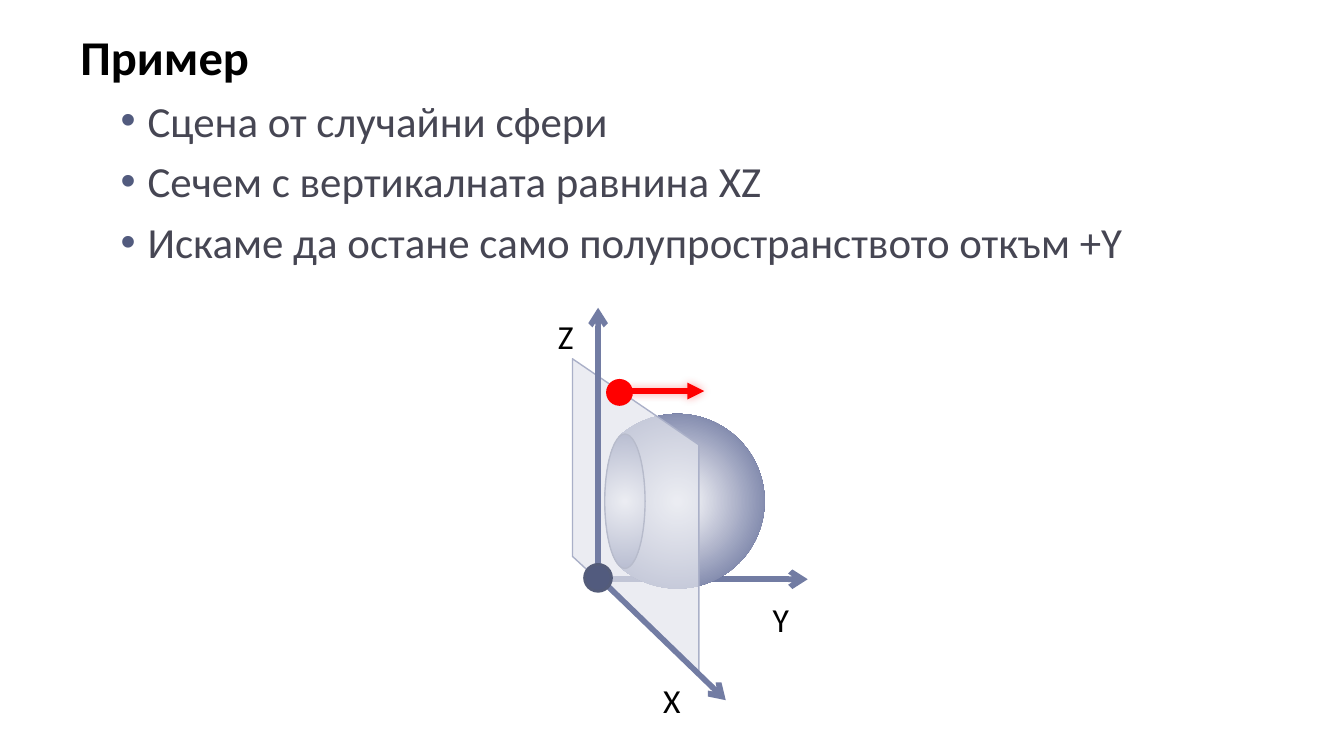
from typing import NamedTuple

from lxml import etree
from pptx import Presentation
from pptx.dml.color import RGBColor
from pptx.enum.shapes import MSO_CONNECTOR, MSO_SHAPE
from pptx.enum.text import MSO_ANCHOR, PP_ALIGN
from pptx.oxml.ns import qn
from pptx.util import Inches, Pt

STRAIGHT = MSO_CONNECTOR.STRAIGHT
CHORD, OVAL, CHEVRON = MSO_SHAPE.CHORD, MSO_SHAPE.OVAL, MSO_SHAPE.CHEVRON
MIDDLE, LEFT, CENTER = MSO_ANCHOR.MIDDLE, PP_ALIGN.LEFT, PP_ALIGN.CENTER

FONT = "Calibri"
BLACK = RGBColor(0, 0, 0)
WHITE = RGBColor(255, 255, 255)
RED = RGBColor(255, 0, 0)
BODY_GRAY = RGBColor(0x46, 0x46, 0x53)
SLATE = RGBColor(0x52, 0x5B, 0x7E)
SPHERE_BLUE = RGBColor(0x52, 0x5D, 0x8E)
AXIS_BLUE = RGBColor(0x72, 0x7C, 0xA3)
ORIGIN_EDGE = RGBColor(0x54, 0x5C, 0x79)
PLANE_FILL = RGBColor(0xE3, 0xE5, 0xED)
PLANE_EDGE = RGBColor(0xAA, 0xB0, 0xC8)

SLIDE_WIDTH = Inches(10)
SLIDE_HEIGHT = SLIDE_WIDTH * 9 // 16
TITLE = "Пример"
BULLETS = [
    "Сцена от случайни сфери",
    "Сечем с вертикалната равнина XZ",
    "Искаме да остане само полупространството откъм +Y",
]
PLANE_CORNERS = [(520, 331), (520, 501), (426, 414), (426, 267)]
PLANE_UNIT = Inches(0.01)


class Arrow(NamedTuple):
    start: tuple[float, float]
    end: tuple[float, float]
    color: RGBColor = AXIS_BLUE
    head: str = "arrow"
    glow: bool = False


class Box(NamedTuple):
    left: float
    top: float
    width: float
    height: float


class AxisLabel(NamedTuple):
    text: str
    left: float
    top: float


Y_AXIS = Arrow((4.47, 4.31), (6.01, 4.31))
X_AXIS = Arrow((4.47, 4.31), (5.4, 5.21))
Z_AXIS = Arrow((4.45, 4.23), (4.45, 2.29))
NORMAL = Arrow((4.64, 2.91), (5.24, 2.91), RED, "triangle", True)
LABELS = [AxisLabel("X", 4.8, 5.01), AxisLabel("Y", 5.61, 4.41), AxisLabel("Z", 4.01, 2.3)]


def add_element(parent, tag: str, **attributes):
    return etree.SubElement(parent, qn(tag), attributes)


def add_color(parent, color: RGBColor, alpha: int = 100) -> None:
    element = add_element(parent, "a:srgbClr", val=str(color))
    if alpha < 100:
        add_element(element, "a:alpha", val=str(alpha * 1000))


def write_text(paragraph, text: str, *, size: float, color: RGBColor, bold: bool = False,
               align=LEFT, space_before: float = 0, bullet: bool = False) -> None:
    paragraph.alignment = align
    paragraph.space_before = Pt(space_before)
    if bullet:
        properties = paragraph._p.get_or_add_pPr()
        properties.set("lvl", "1")
        properties.set("marL", str(Inches(0.5)))
        properties.set("indent", str(Inches(-0.2)))
        add_color(add_element(properties, "a:buClr"), SLATE)
        add_element(properties, "a:buFont", typeface="Arial")
        add_element(properties, "a:buChar", char="•")
    run = paragraph.add_run()
    run.text = text
    run.font.name, run.font.size, run.font.bold = FONT, Pt(size), bold
    run.font.color.rgb = color


def draw_label(slide, label: AxisLabel) -> None:
    shape = slide.shapes.add_shape(CHEVRON, *map(Inches, (label.left, label.top, 0.4, 0.4)))
    shape.adjustments[0] = 0
    shape.shadow.inherit = False
    shape.fill.background()
    shape.line.fill.background()
    frame = shape.text_frame
    frame.vertical_anchor = MIDDLE
    frame.margin_left = frame.margin_right = frame.margin_top = frame.margin_bottom = 0
    write_text(frame.paragraphs[0], label.text, size=18, color=BLACK, align=CENTER)


def draw_arrow(slide, arrow: Arrow) -> None:
    connector = slide.shapes.add_connector(STRAIGHT, *map(Inches, arrow.start + arrow.end))
    connector.line.color.rgb = arrow.color
    connector.line.width = Pt(3)
    add_element(connector.line._get_or_add_ln(), "a:tailEnd", type=arrow.head)
    effects = add_element(connector._element.spPr, "a:effectLst")
    if arrow.glow:
        shadow = add_element(effects, "a:outerShdw", blurRad=str(Pt(5)), dist="0", dir="0")
        add_color(shadow, arrow.color, 40)


def set_line(shape, color: RGBColor | None, width: float) -> None:
    if color is None:
        shape.line.fill.background()
    else:
        shape.line.color.rgb = color
        shape.line.width = Pt(width)


def set_radial_fill(shape) -> None:
    shape.fill.gradient()
    gradient = shape._element.spPr.find(qn("a:gradFill"))
    for child in list(gradient):
        gradient.remove(child)
    stops = add_element(gradient, "a:gsLst")
    for position, color in ((2, WHITE), (100, SPHERE_BLUE)):
        add_color(add_element(stops, "a:gs", pos=str(position * 1000)), color)
    center = add_element(gradient, "a:path", path="circle")
    add_element(center, "a:fillToRect", l="50000", t="50000", r="50000", b="50000")


def draw_round(slide, box: Box, *, kind=OVAL, fill: RGBColor | None = None,
               line: RGBColor | None = None, line_width: float = 0.75):
    shape = slide.shapes.add_shape(kind, *map(Inches, box))
    shape.shadow.inherit = False
    if fill is None:
        set_radial_fill(shape)
    else:
        shape.fill.solid()
        shape.fill.fore_color.rgb = fill
    set_line(shape, line, line_width)
    return shape


def draw_plane(slide) -> None:
    first, *others = PLANE_CORNERS
    builder = slide.shapes.build_freeform(*first, scale=PLANE_UNIT)
    builder.add_line_segments(others, close=True)
    plane = builder.convert_to_shape()
    plane.shadow.inherit = False
    plane.fill.solid()
    plane.fill.fore_color.rgb = PLANE_FILL
    color = plane._element.spPr.find(qn("a:solidFill"))[0]
    add_element(color, "a:alpha", val="70000")
    set_line(plane, PLANE_EDGE, 0.75)


def draw_body(slide) -> None:
    frame = slide.shapes.add_textbox(*map(Inches, Box(0.5, 0.15, 9.33, 5.42))).text_frame
    frame.word_wrap = True
    write_text(frame.paragraphs[0], TITLE, size=26, color=BLACK, bold=True)
    for text in BULLETS:
        write_text(frame.add_paragraph(), text, size=23, color=BODY_GRAY,
                   space_before=5, bullet=True)


def main() -> None:
    presentation = Presentation()
    presentation.slide_width, presentation.slide_height = SLIDE_WIDTH, SLIDE_HEIGHT
    slide = presentation.slides.add_slide(presentation.slide_layouts[6])
    draw_arrow(slide, Y_AXIS)
    sphere = draw_round(slide, Box(4.39, 3.08, 1.3, 1.3), kind=CHORD)
    sphere.adjustments[0], sphere.adjustments[1] = 136.62, 78.58
    draw_body(slide)
    for label in LABELS:
        draw_label(slide, label)
    draw_arrow(slide, NORMAL)
    draw_round(slide, Box(4.5, 3.23, 0.3, 1), line=SLATE)
    draw_plane(slide)
    draw_arrow(slide, X_AXIS)
    draw_arrow(slide, Z_AXIS)
    draw_round(slide, Box(4.35, 4.2, 0.2, 0.2), fill=SLATE, line=ORIGIN_EDGE, line_width=1.5)
    draw_round(slide, Box(4.51, 2.82, 0.2, 0.2), fill=RED)
    presentation.save("out.pptx")


if __name__ == "__main__":
    main()
